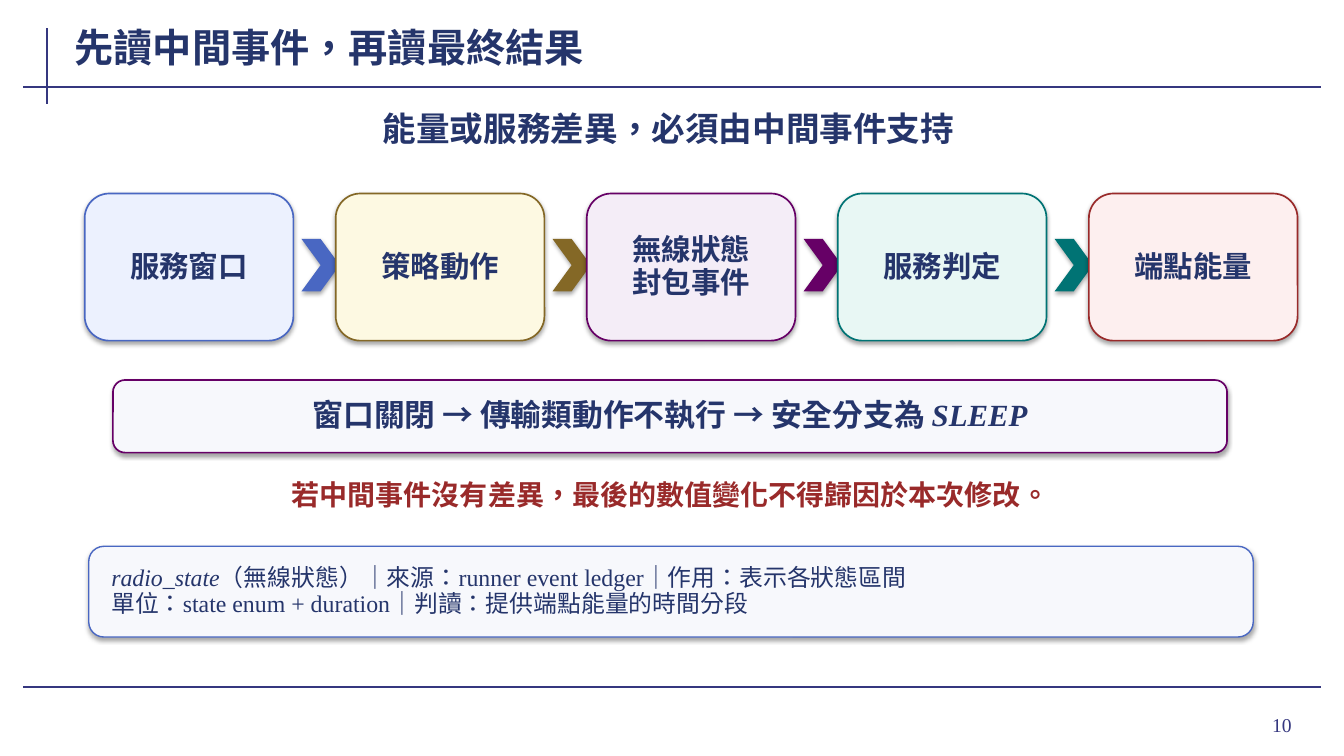
from pptx import Presentation
from pptx.dml.color import RGBColor
from pptx.enum.lang import MSO_LANGUAGE_ID
from pptx.enum.shapes import MSO_CONNECTOR, MSO_SHAPE
from pptx.enum.text import MSO_ANCHOR, MSO_AUTO_SIZE, PP_ALIGN
from pptx.oxml import parse_xml
from pptx.oxml.ns import nsdecls
from pptx.util import Inches, Pt

NAVY, RULE, RED, PURPLE, BLUE, PALE = "25356B", "35377F", "992A2A", "660066", "4967C2", "F7F8FC"


def write(box, lines, size, color=NAVY, bold=True, align=PP_ALIGN.CENTER, spacing=None, inset=(0.02, 0.01)):
    frame = box.text_frame
    frame.word_wrap = True
    frame.auto_size = MSO_AUTO_SIZE.NONE
    frame.vertical_anchor = MSO_ANCHOR.MIDDLE
    frame.margin_left = frame.margin_right = Inches(inset[0])
    frame.margin_top = frame.margin_bottom = Inches(inset[1])
    for number, pieces in enumerate(lines):
        paragraph = frame.add_paragraph() if number else frame.paragraphs[0]
        paragraph.alignment = align
        paragraph.line_spacing = spacing
        font = paragraph.font
        font.name, font.size, font.bold = "Times New Roman", Pt(size), bold
        font.color.rgb = RGBColor.from_string(color)
        font.language_id = MSO_LANGUAGE_ID.TRADITIONAL_CHINESE
        for text, italic in pieces:
            run = paragraph.add_run()
            run.text = text
            if italic:
                run.font.italic = True


def block(kind, place, fill, outline=None, width=1.2):
    shape = slide.shapes.add_shape(kind, *map(Inches, place))
    shape.fill.solid()
    shape.fill.fore_color.rgb = RGBColor.from_string(fill)
    if outline:
        shape.line.color.rgb = RGBColor.from_string(outline)
        shape.line.width = Pt(width)
    else:
        shape.line.fill.background()
    return shape


deck = Presentation()
deck.slide_width, deck.slide_height = Inches(13.33), Inches(7.5)
slide = deck.slides.add_slide(deck.slide_layouts[5])

for ends in [(0.47, 0.28, 0.47, 1.03), (0.23, 0.86, 13.1, 0.86), (0.23, 6.82, 13.1, 6.82)]:
    rule = slide.shapes.add_connector(MSO_CONNECTOR.STRAIGHT, *map(Inches, ends))
    rule.line.color.rgb = RGBColor.from_string(RULE)
    rule.line.width = Pt(1.5)
    rule._element.spPr.append(parse_xml(f"<a:effectLst {nsdecls('a')}/>"))

title = slide.shapes.title
title.left, title.top, title.width, title.height = map(Inches, (0.72, 0.2, 10.35, 0.53))
write(title, [[("先讀中間事件，再讀最終結果", False)]], 28, align=PP_ALIGN.LEFT, inset=(0.02, 0))

captions = [
    ((1.08, 1.03, 11.1, 0.48), "能量或服務差異，必須由中間事件支持", 24, NAVY, True, PP_ALIGN.CENTER),
    ((1.24, 4.69, 10.82, 0.42), "若中間事件沒有差異，最後的數值變化不得歸因於本次修改。", 20, RED, True, PP_ALIGN.CENTER),
    ((11.96, 6.93, 0.95, 0.52), "10", 14, RULE, False, PP_ALIGN.RIGHT),
]
for place, text, size, color, bold, align in captions:
    caption = slide.shapes.add_textbox(*map(Inches, place))
    write(caption, [[(text, False)]], size, color, bold, align, inset=(0.1, 0.01))

stages = [
    (["服務窗口"], "ECF1FE", BLUE),
    (["策略動作"], "FDF9E2", "846826"),
    (["無線狀態", "封包事件"], "F4EDF7", PURPLE),
    (["服務判定"], "E8F7F4", "007374"),
    (["端點能量"], "FDEFEF", RED),
]
first_left, pitch, stage_width = 0.84, 2.49, 2.07
for column, (labels, fill, accent) in enumerate(stages):
    left = first_left + column * pitch
    if column:
        previous_accent = stages[column - 1][2]
        block(MSO_SHAPE.CHEVRON, (left - pitch + stage_width + 0.08, 2.37, 0.38, 0.52), previous_accent)
    stage = block(MSO_SHAPE.ROUNDED_RECTANGLE, (left, 1.92, stage_width, 1.46), fill, accent)
    write(stage, [[(label, False)] for label in labels], 21, spacing=0.95, inset=(0.12, 0.05))

safe_branch = block(MSO_SHAPE.ROUNDED_RECTANGLE, (1.12, 3.77, 11.05, 0.72), PALE, PURPLE)
write(safe_branch, [[("窗口關閉 → 傳輸類動作不執行 → 安全分支為 ", False), ("SLEEP", True)]],
      22, spacing=0.95, inset=(0.12, 0.05))

field_note = block(MSO_SHAPE.ROUNDED_RECTANGLE, (0.88, 5.42, 11.55, 0.9), PALE, BLUE, 1)
write(field_note, [
    [("radio_state", True), ("（無線狀態）｜來源：runner event ledger｜作用：表示各狀態區間", False)],
    [("單位：state enum + duration｜判讀：提供端點能量的時間分段", False)],
], 17, bold=False, align=PP_ALIGN.LEFT, spacing=0.92, inset=(0.18, 0.05))

deck.save("out.pptx")
